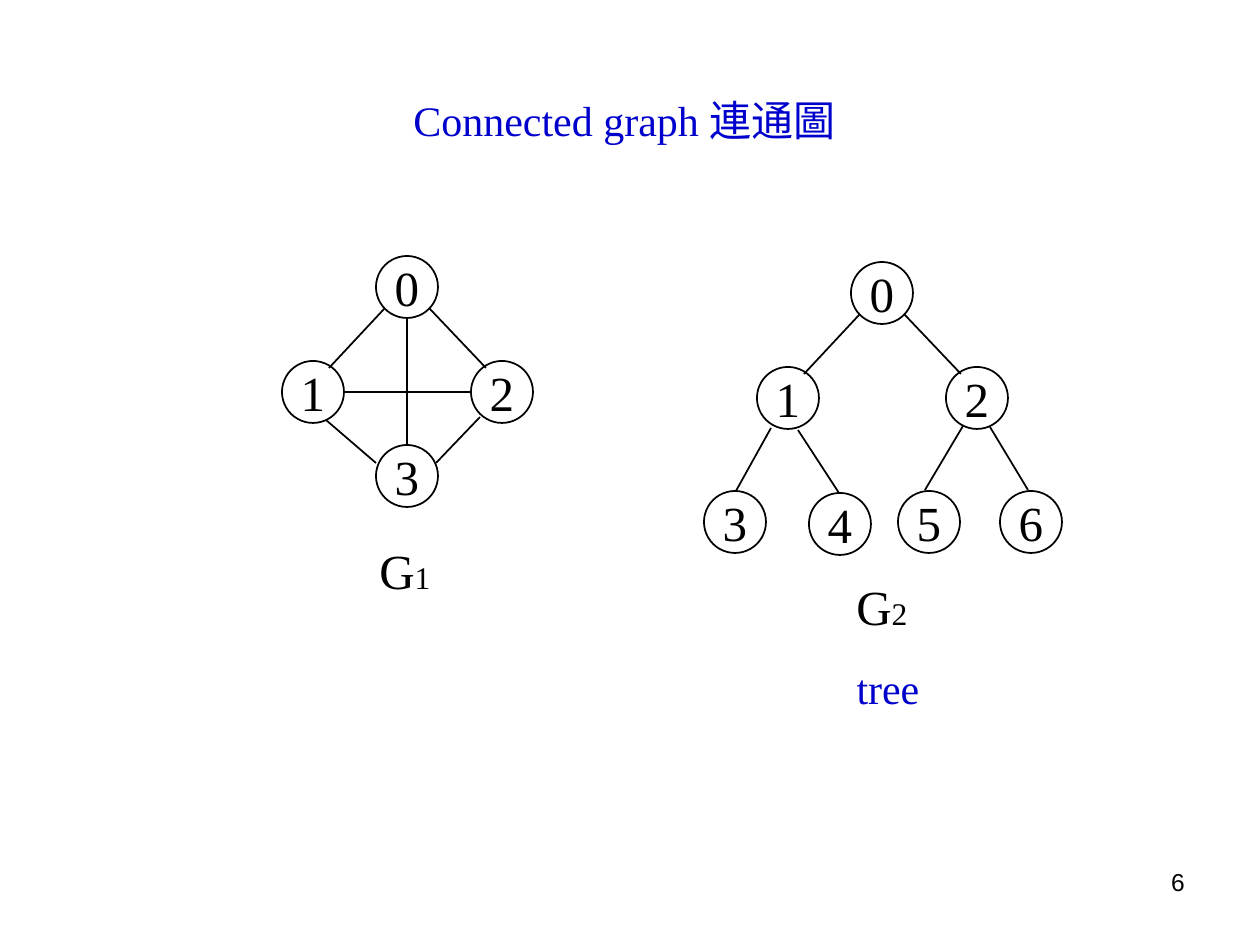
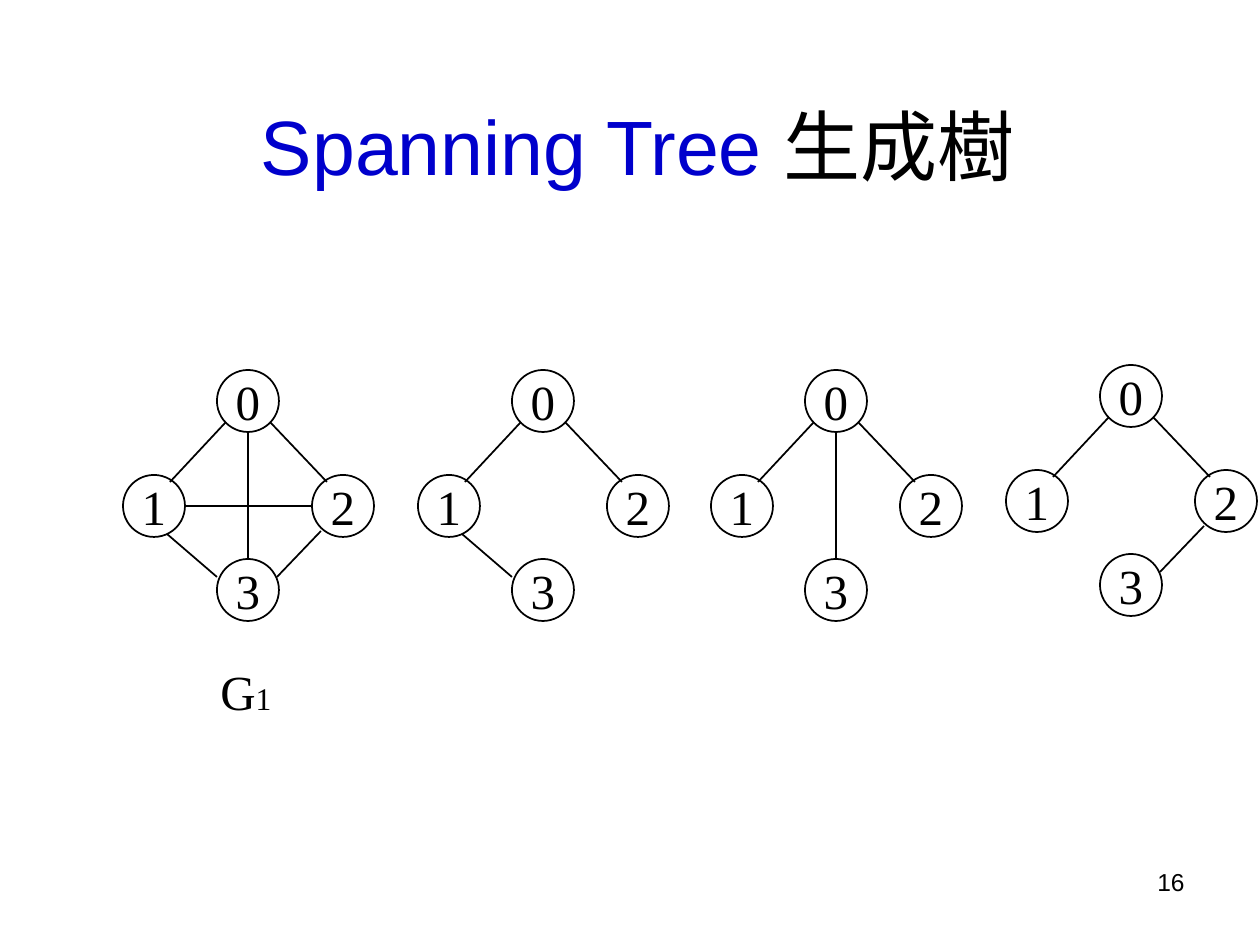
import pptx
import pptx.dml.color
import pptx.enum.shapes
import pptx.enum.text
import pptx.oxml
import pptx.oxml.ns
import pptx.util

ALIGN = pptx.enum.text.PP_ALIGN
ANCHOR = pptx.enum.text.MSO_ANCHOR
BLACK, WHITE, BLUE = "000000", "FFFFFF", "0000CC"
SERIF, SANS = "Times New Roman", "Arial"
NODE = 62

# Node positions and edge ends (x1, y1, x2, y2), relative to the graph's box
DIAMOND_NODES = [(94, 0), (0, 105), (189, 105), (94, 189)]
DIAMOND_EDGES = {
    (0, 3): (125, 63, 125, 189),
    (1, 2): (62, 136, 188, 136),
    (0, 1): (103, 52, 47, 112),
    (0, 2): (147, 52, 204, 112),
    (1, 3): (44, 164, 94, 207),
    (2, 3): (198, 161, 154, 207),
}
TREE_NODES = [(147, 0), (53, 105), (242, 105),
              (0, 229), (105, 231), (194, 229), (296, 229)]
TREE_EDGES = {
    (0, 1): (156, 52, 100, 112),
    (0, 2): (200, 52, 257, 112),
    (1, 3): (67, 166, 32, 229),
    (1, 4): (94, 168, 135, 231),
    (2, 5): (259, 164, 221, 228),
    (2, 6): (286, 165, 324, 228),
}
SPANNING_TREES = [
    ((418, 370), [(0, 1), (0, 2), (1, 3)]),
    ((711, 370), [(0, 3), (0, 1), (0, 2)]),
    ((1006, 365), [(0, 1), (0, 2), (2, 3)]),
]


def px(*lengths):
    return [round(n * 914400 / 126) for n in lengths]


def rgb(color):
    return pptx.dml.color.RGBColor.from_string(color)


def style(p, size, color=BLACK, font=SERIF, align=ALIGN.CENTER):
    p.alignment = align
    p.font.size = pptx.util.Pt(size)
    p.font.name = font
    p.font.color.rgb = rgb(color)


def add_title(s, box, runs, size, font):
    """Place the title; runs are (text, color) pairs."""
    sp = s.shapes.title
    sp.left, sp.top, sp.width, sp.height = px(*box)
    tf = sp.text_frame
    tf.auto_size = pptx.enum.text.MSO_AUTO_SIZE.NONE
    tf.vertical_anchor = ANCHOR.MIDDLE
    p = tf.paragraphs[0]
    style(p, size, font=font)
    for text, color in runs:
        r = p.add_run()
        r.text = text
        r.font.color.rgb = rgb(color)


def add_text(s, box, text, size, wrap=False, **look):
    tf = s.shapes.add_textbox(*px(*box)).text_frame
    tf.word_wrap = wrap
    p = tf.paragraphs[0]
    p.text = text
    style(p, size, **look)
    return p


def add_graph_name(s, left, top, index):
    p = add_text(s, (left, top, 77, 72), "G", 28, align=ALIGN.LEFT)
    r = p.add_run()
    r.text = index
    r.font.size = pptx.util.Pt(18)


def add_node(s, left, top, label):
    sp = s.shapes.add_shape(pptx.enum.shapes.MSO_SHAPE.OVAL,
                            *px(left, top, NODE, NODE))
    sp.shadow.inherit = False
    sp.fill.solid()
    sp.fill.fore_color.rgb = rgb(WHITE)
    sp.line.color.rgb = rgb(BLACK)
    sp.line.width = pptx.util.Pt(1)
    tf = sp.text_frame
    tf.word_wrap = False
    tf.vertical_anchor = ANCHOR.MIDDLE
    tf.text = label
    style(tf.paragraphs[0], 28)


def add_edge(s, *ends):
    line = s.shapes.add_connector(pptx.enum.shapes.MSO_CONNECTOR.STRAIGHT,
                                  *px(*ends))
    line.line.color.rgb = rgb(BLACK)
    line.line.width = pptx.util.Pt(1)
    effects = pptx.oxml.ns.qn("a:effectLst")
    line._element.spPr.append(pptx.oxml.parse_xml(
        '<a:effectLst xmlns:a="%s"/>' % effects[1:].split("}")[0]))


def add_graph(s, left, top, nodes, edges):
    for label, (x, y) in enumerate(nodes):
        add_node(s, left + x, top + y, str(label))
    for x1, y1, x2, y2 in edges:
        add_edge(s, left + x1, top + y1, left + x2, top + y2)


def add_slide(prs, number):
    s = prs.slides.add_slide(prs.slide_layouts[5])
    add_text(s, (903, 861, 294, 66), number, 14, wrap=True,
             font=SANS, align=ALIGN.RIGHT)
    return s


def connected_graph_slide(prs):
    s = add_slide(prs, "6")
    add_title(s, (312, 88, 625, 63), [("Connected graph 連通圖", BLUE)], 24, SERIF)
    add_graph(s, 282, 256, DIAMOND_NODES, DIAMOND_EDGES.values())
    add_graph_name(s, 367, 534, "1")
    add_graph(s, 704, 262, TREE_NODES, TREE_EDGES.values())
    add_graph_name(s, 844, 570, "2")
    add_text(s, (844, 656, 88, 63), "tree", 24, color=BLUE)


def spanning_tree_slide(prs):
    s = add_slide(prs, "16")
    add_title(s, (84, 66, 1108, 158),
              [("Spanning Tree ", BLUE), ("生成樹", BLACK)], 44, SANS)
    add_graph(s, 123, 370, DIAMOND_NODES, DIAMOND_EDGES.values())
    add_graph_name(s, 208, 655, "1")
    for (left, top), kept in SPANNING_TREES:
        add_graph(s, left, top, DIAMOND_NODES, [DIAMOND_EDGES[e] for e in kept])


def main():
    prs = pptx.Presentation()
    prs.slide_width, prs.slide_height = px(1260, 945)
    connected_graph_slide(prs)
    spanning_tree_slide(prs)
    prs.save("out.pptx")


if __name__ == "__main__":
    main()
